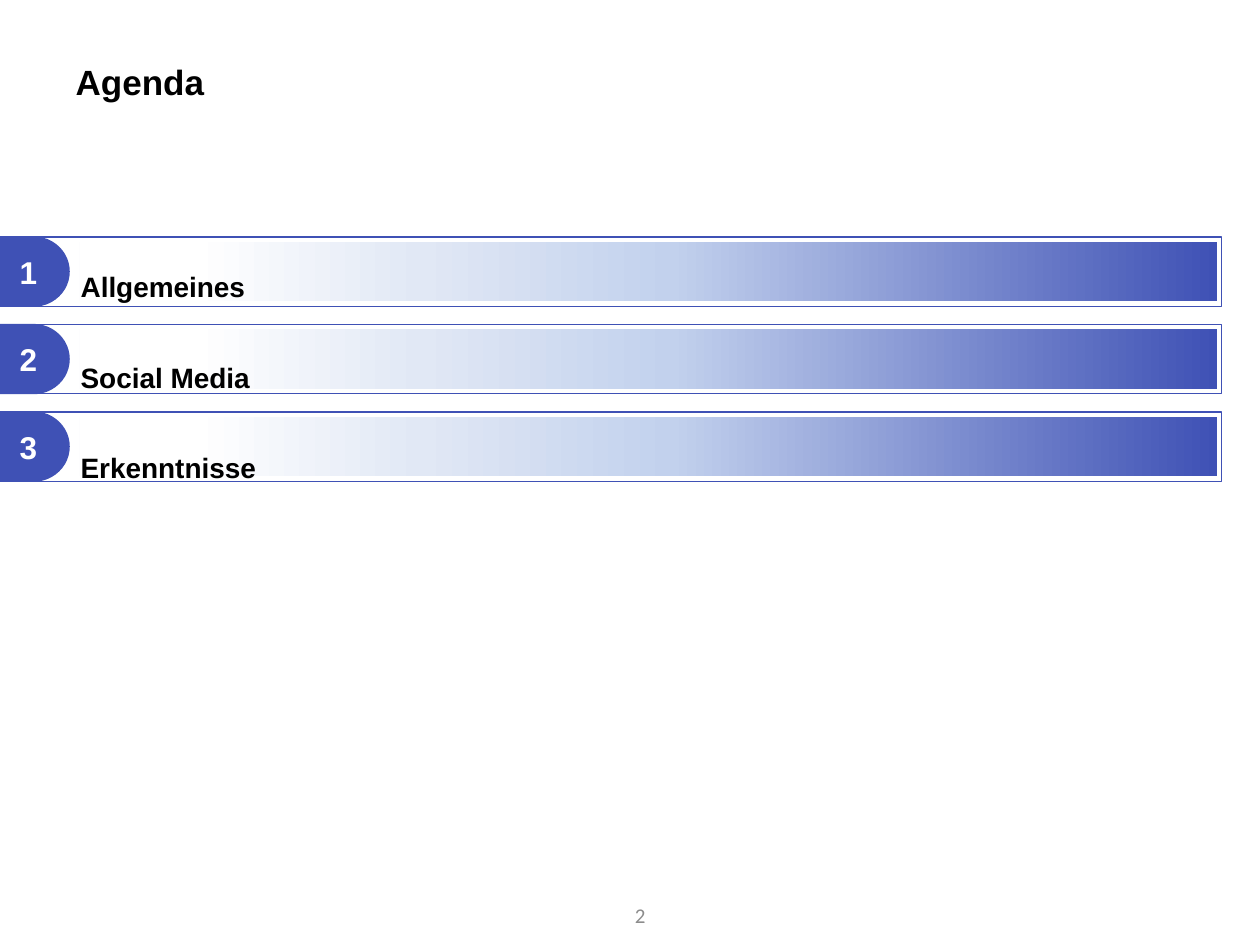
from dataclasses import dataclass

import pptx
import pptx.dml.color
import pptx.enum.shapes
import pptx.enum.text
import pptx.oxml
import pptx.oxml.ns
import pptx.util
from pptx.util import Pt

COLORS = {"blue": "3F51B5", "mid": "C2D1ED", "pale": "E1E8F5",
          "white": "FFFFFF", "black": "000000", "grey": "8C8C8C"}
BAR_STOPS = [(0, "blue"), (48, "mid"), (70, "pale"), (90, "white")]
FIRST_TOP = 135.4
PITCH = 50
SHAPE = pptx.enum.shapes.MSO_SHAPE
ALIGN = pptx.enum.text.PP_ALIGN
ANCHOR = pptx.enum.text.MSO_ANCHOR


@dataclass
class AgendaItem:
    number: int
    title: str


ITEMS = [AgendaItem(1, "Allgemeines"), AgendaItem(2, "Social Media"),
         AgendaItem(3, "Erkenntnisse")]


def rgb(name: str) -> pptx.dml.color.RGBColor:
    return pptx.dml.color.RGBColor.from_string(COLORS[name])


def place(shape, left: float, top: float, width: float, height: float) -> None:
    shape.left, shape.top = Pt(left), Pt(top)
    shape.width, shape.height = Pt(width), Pt(height)


def style_paragraph(p, size: float, color: str, align=ALIGN.LEFT,
                    font: str = "Arial", bold: bool = True) -> None:
    p.alignment = align
    p.font.name, p.font.size, p.font.bold = font, Pt(size), bold
    p.font.color.rgb = rgb(color)


def add_preset(group, kind, left: float, top: float, width: float, height: float):
    sp = group.shapes.add_shape(kind, Pt(left), Pt(top), Pt(width), Pt(height))
    sp.shadow.inherit = False
    return sp


def fill_gradient(sp) -> None:
    """Fill with BAR_STOPS, running from right to left."""
    sp.fill.gradient()
    sp.fill.gradient_angle = 180
    stops = sp.element.spPr.find(".//" + pptx.oxml.ns.qn("a:gsLst"))
    for stop in list(stops):
        stops.remove(stop)
    for percent, color in BAR_STOPS:
        stops.append(pptx.oxml.parse_xml(
            f'<a:gs {pptx.oxml.ns.nsdecls("a")} pos="{percent * 1000}">'
            f'<a:srgbClr val="{COLORS[color]}"/></a:gs>'))


def add_agenda_row(s, item: AgendaItem, top: float) -> None:
    group = s.shapes.add_group_shape()

    bar = add_preset(group, SHAPE.RECTANGLE, 45.4, top + 2.9, 650, 33.8)
    fill_gradient(bar)
    bar.line.fill.background()

    badge = add_preset(group, SHAPE.FLOWCHART_DELAY, -0.7, top + 0.7, 39.6, 38.2)
    badge.fill.solid()
    badge.fill.fore_color.rgb = rgb("blue")
    badge.line.color.rgb = rgb("blue")
    badge.line.width = Pt(2)
    tf = badge.text_frame
    tf.vertical_anchor = ANCHOR.MIDDLE
    tf.text = str(item.number)
    style_paragraph(tf.paragraphs[0], 18, "white", ALIGN.CENTER)

    frame = add_preset(group, SHAPE.RECTANGLE, -2, top, 700, 39.6)
    frame.fill.background()
    frame.line.color.rgb = rgb("blue")
    frame.line.width = Pt(0.75)


def write_title(s) -> None:
    title = s.shapes.title
    place(title, 36, 21.6, 648, 49.7)
    tf = title.text_frame
    tf.text = "Agenda"
    tf.vertical_anchor = ANCHOR.MIDDLE
    style_paragraph(tf.paragraphs[0], 20, "black")


def write_items(s) -> None:
    body = s.placeholders[1]
    place(body, 38.9, 123.1, 620, 356.4)
    tf = body.text_frame
    tf.auto_size = pptx.enum.text.MSO_AUTO_SIZE.NONE
    tf.text = "\n".join(item.title for item in ITEMS)
    for p in tf.paragraphs:
        style_paragraph(p, 16, "black")
        p.line_spacing = 2.43
        p.space_before = Pt(5)
        pPr = p._p.get_or_add_pPr()
        pPr.set("marL", "0")
        pPr.set("indent", "0")
        bullet = pptx.oxml.parse_xml(f'<a:buNone {pptx.oxml.ns.nsdecls("a")}/>')
        pPr.find(pptx.oxml.ns.qn("a:spcBef")).addnext(bullet)
    # The list lies on top of the bars
    body.element.getparent().append(body.element)


def add_page_number(s) -> None:
    box = s.shapes.add_textbox(Pt(330.5), Pt(508.3), Pt(45.4), Pt(28.8))
    tf = box.text_frame
    tf.word_wrap = True
    tf.vertical_anchor = ANCHOR.MIDDLE
    tf.text = "2"
    style_paragraph(tf.paragraphs[0], 12, "grey", ALIGN.RIGHT, "Calibri", False)


def main() -> None:
    prs = pptx.Presentation()
    prs.slide_width, prs.slide_height = Pt(720), Pt(540)
    s = prs.slides.add_slide(prs.slide_layouts[1])
    write_title(s)
    for i, item in enumerate(ITEMS):
        add_agenda_row(s, item, FIRST_TOP + i * PITCH)
    write_items(s)
    add_page_number(s)
    prs.save("out.pptx")


if __name__ == "__main__":
    main()
